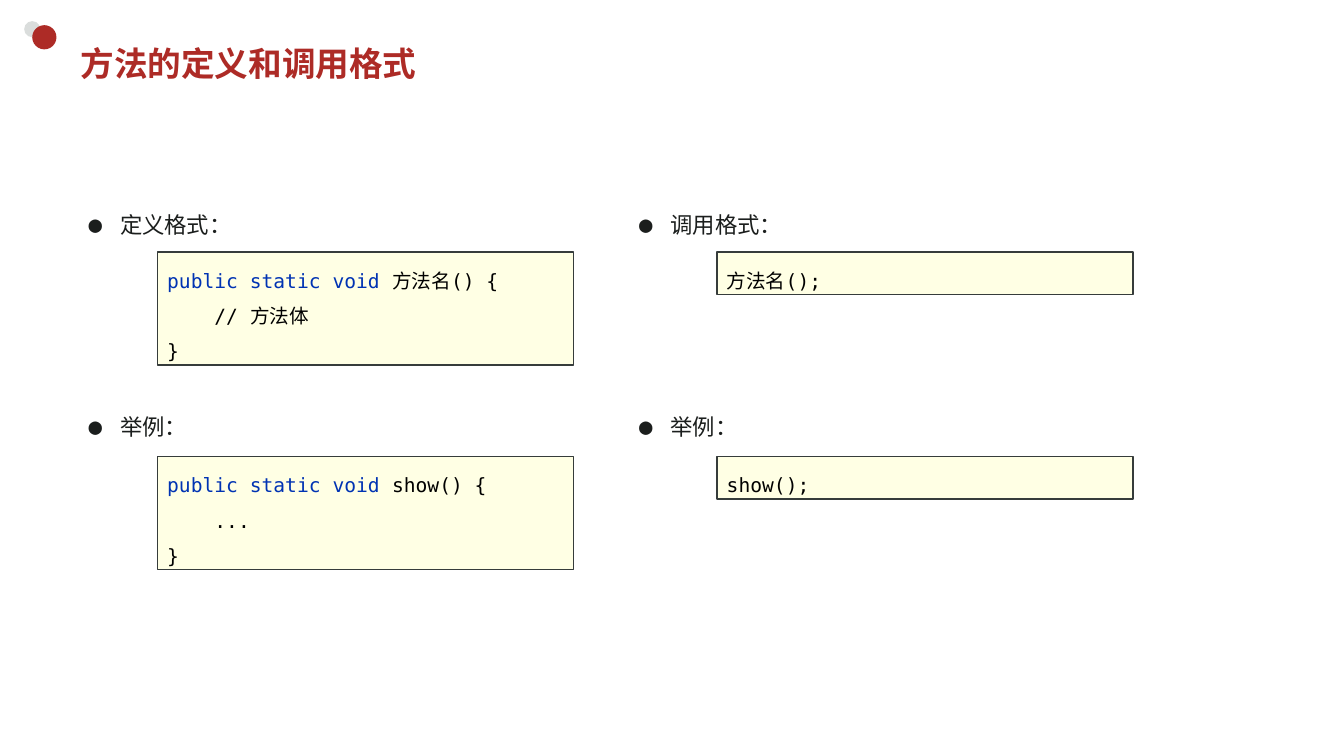
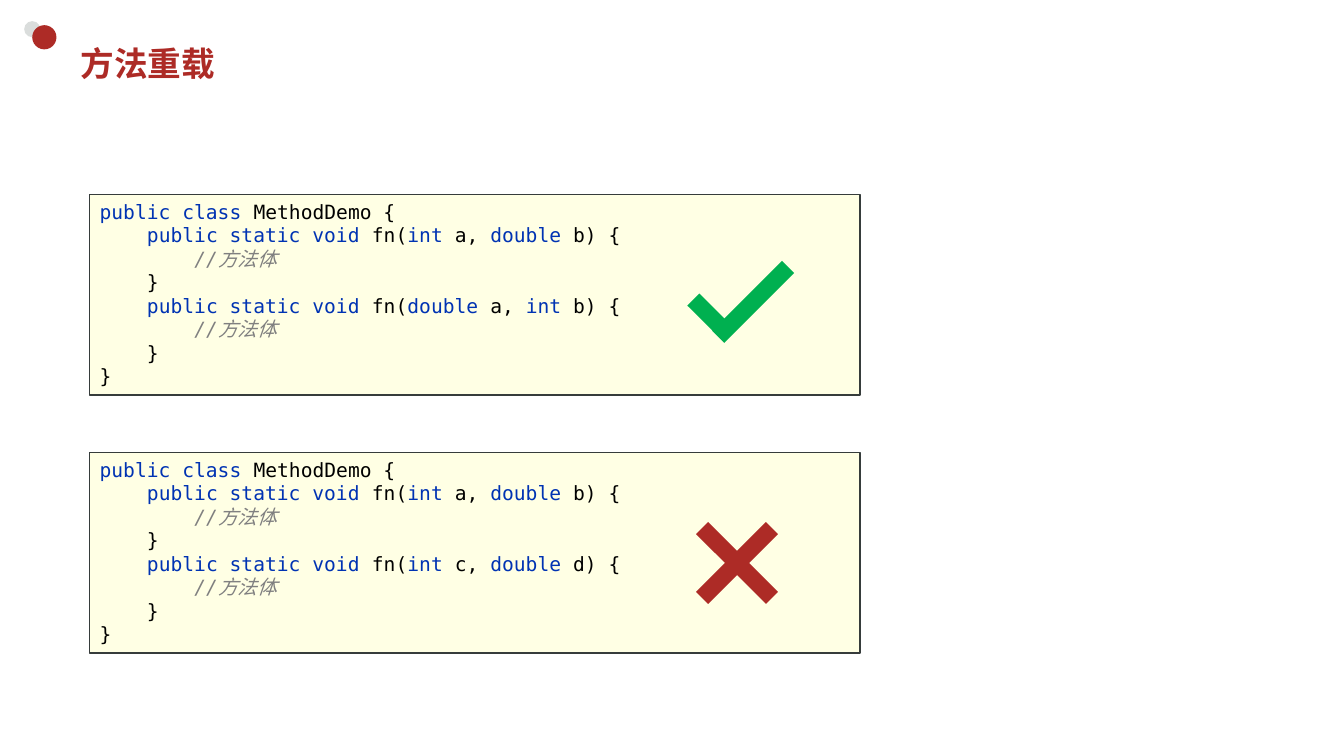
from dataclasses import dataclass
from itertools import groupby

from lxml import etree
from pptx import Presentation
from pptx.dml.color import RGBColor
from pptx.enum.shapes import MSO_SHAPE
from pptx.enum.text import MSO_ANCHOR
from pptx.oxml.ns import qn
from pptx.util import Pt

RECTANGLE = MSO_SHAPE.RECTANGLE
ELLIPSE = MSO_SHAPE.OVAL
TOP = MSO_ANCHOR.TOP
MIDDLE = MSO_ANCHOR.MIDDLE
EMU_PER_PX = 9144
KEYWORDS = {"public", "static", "void", "class", "int", "double"}


@dataclass(frozen=True)
class Theme:
    """Colours, font and type sizes of the presentation."""
    red: str = "AD2B26"
    green: str = "00B050"
    pale_dot: str = "DADDDC"
    ink: str = "1B1E1D"
    code: str = "000000"
    keyword: str = "0033B3"
    comment: str = "808080"
    code_fill: str = "FFFFE4"
    code_border: str = "363C3B"
    font: str = "DejaVu Sans Mono"
    title_size: int = 24
    label_size: int = 16
    code_size: int = 14


THEME = Theme()

TICK_BARS = [(592, 112, 46, 17, 45), (609, 98, 98, 17, 315)]
CROSS_BARS = [(593, 101, 98, 17, 45), (593, 101, 98, 17, 315)]

SYNTAX_COLUMNS = [
    (78, 156, 112, [
        ("定义格式：", "public static void 方法名() {\n    // 方法体\n}"),
        ("举例：", "public static void show() {\n    ...\n}"),
    ]),
    (624, 711, 42, [
        ("调用格式：", "方法名();"),
        ("举例：", "show();"),
    ]),
]
SYNTAX_ROWS = [(205, 250), (405, 453)]

OVERLOADS = [
    (193, "double a, int b", TICK_BARS, THEME.green),
    (449, "int c, double d", CROSS_BARS, THEME.red),
]
OVERLOAD_CODE = """public class MethodDemo {
    public static void fn(int a, double b) {
        //方法体
    }
    public static void fn(PARAMETERS) {
        //方法体
    }
}"""


def px(*lengths):
    """Turn pixel lengths into EMU."""
    return [length * EMU_PER_PX for length in lengths]


def rgb(color):
    """Return the colour object for a hex string."""
    return RGBColor.from_string(color)


def code_runs(line, style_comments):
    """Split a line of code into (text, colour) runs."""
    body, slashes, comment = line.partition("//") if style_comments else (line, "", "")
    tokens = []
    color = THEME.code
    for _, characters in groupby(body, key=lambda c: (c.isalpha(), c.isspace())):
        token = "".join(characters)
        if not token.isspace():
            color = THEME.keyword if token in KEYWORDS else THEME.code
        tokens.append((token, color))
    runs = [("".join(token for token, _ in group), run_color)
            for run_color, group in groupby(tokens, key=lambda item: item[1])]
    return runs + ([(slashes + comment, THEME.comment)] if slashes else [])


def add_bullet(paragraph):
    """Give a paragraph a hanging round bullet."""
    properties = paragraph._p.get_or_add_pPr()
    properties.set("marL", "285750")
    properties.set("indent", "-285750")
    etree.SubElement(properties, qn("a:buFont")).set("typeface", THEME.font)
    etree.SubElement(properties, qn("a:buChar")).set("char", "●")


def write_text(shape, text, *, size, color=THEME.ink, bold=False, anchor=TOP,
               spacing=None, bullet=False, code=False, style_comments=False):
    """Fill a shape with one formatted paragraph for each line of text."""
    frame = shape.text_frame
    frame.word_wrap = True
    frame.vertical_anchor = anchor
    for index, line in enumerate(text.split("\n")):
        paragraph = frame.add_paragraph() if index else frame.paragraphs[0]
        paragraph.alignment = 1
        if spacing:
            paragraph.line_spacing = spacing
        if bullet:
            add_bullet(paragraph)
        runs = code_runs(line, style_comments) if code else [(line, color)]
        for run_text, run_color in runs:
            run = paragraph.add_run()
            run.text = run_text
            run.font.name = THEME.font
            run.font.size = Pt(size)
            run.font.bold = bold
            run.font.italic = run_color == THEME.comment
            run.font.color.rgb = rgb(run_color)


def add_block(shapes, kind, box, fill, border=None, rotation=0):
    """Add a flat filled shape with an optional border."""
    shape = shapes.add_shape(kind, *px(*box))
    shape.shadow.inherit = False
    shape.rotation = rotation
    shape.fill.solid()
    shape.fill.fore_color.rgb = rgb(fill)
    if border:
        shape.line.color.rgb = rgb(border)
        shape.line.width = Pt(1)
    else:
        shape.line.fill.background()
    return shape


def add_code_box(slide, box, code, **text_format):
    """Add a bordered box of highlighted code."""
    shape = add_block(slide.shapes, RECTANGLE, box, THEME.code_fill, THEME.code_border)
    write_text(shape, code, size=THEME.code_size, code=True, **text_format)


def add_mark(slide, left, top, bars, color):
    """Add a grouped mark of rotated bars, placed relative to a corner."""
    group = slide.shapes.add_group_shape()
    for x, y, width, height, rotation in bars:
        add_block(group.shapes, RECTANGLE, (left + x, top + y, width, height),
                  color, rotation=rotation)


def add_titled_slide(presentation, title):
    """Add a blank slide with the corner dots and a title."""
    slide = presentation.slides.add_slide(presentation.slide_layouts[6])
    add_block(slide.shapes, ELLIPSE, (24, 21, 16, 16), THEME.pale_dot)
    add_block(slide.shapes, ELLIPSE, (32, 25, 24, 24), THEME.red)
    title_box = slide.shapes.add_textbox(*px(70, 37, 1167, 52))
    write_text(title_box, title, size=THEME.title_size, color=THEME.red,
               bold=True, anchor=MIDDLE)
    return slide


def add_syntax_slide(presentation):
    """Build the slide on defining and calling methods."""
    slide = add_titled_slide(presentation, "方法的定义和调用格式")
    for label_left, code_left, code_height, entries in SYNTAX_COLUMNS:
        for (label_top, code_top), (label, code) in zip(SYNTAX_ROWS, entries):
            label_box = slide.shapes.add_textbox(*px(label_left, label_top, 157, 37))
            write_text(label_box, label, size=THEME.label_size, bullet=True)
            add_code_box(slide, (code_left, code_top, 413, code_height), code, spacing=1.5)


def add_overload_slide(presentation):
    """Build the slide on valid and invalid overloads."""
    slide = add_titled_slide(presentation, "方法重载")
    left = 89
    for top, parameters, bars, color in OVERLOADS:
        code = OVERLOAD_CODE.replace("PARAMETERS", parameters)
        add_code_box(slide, (left, top, 764, 199), code, style_comments=True)
        add_mark(slide, left, top, bars, color)


def main():
    """Build and save the presentation."""
    presentation = Presentation()
    presentation.slide_width, presentation.slide_height = px(1333, 750)
    add_syntax_slide(presentation)
    add_overload_slide(presentation)
    presentation.save("out.pptx")


if __name__ == "__main__":
    main()
